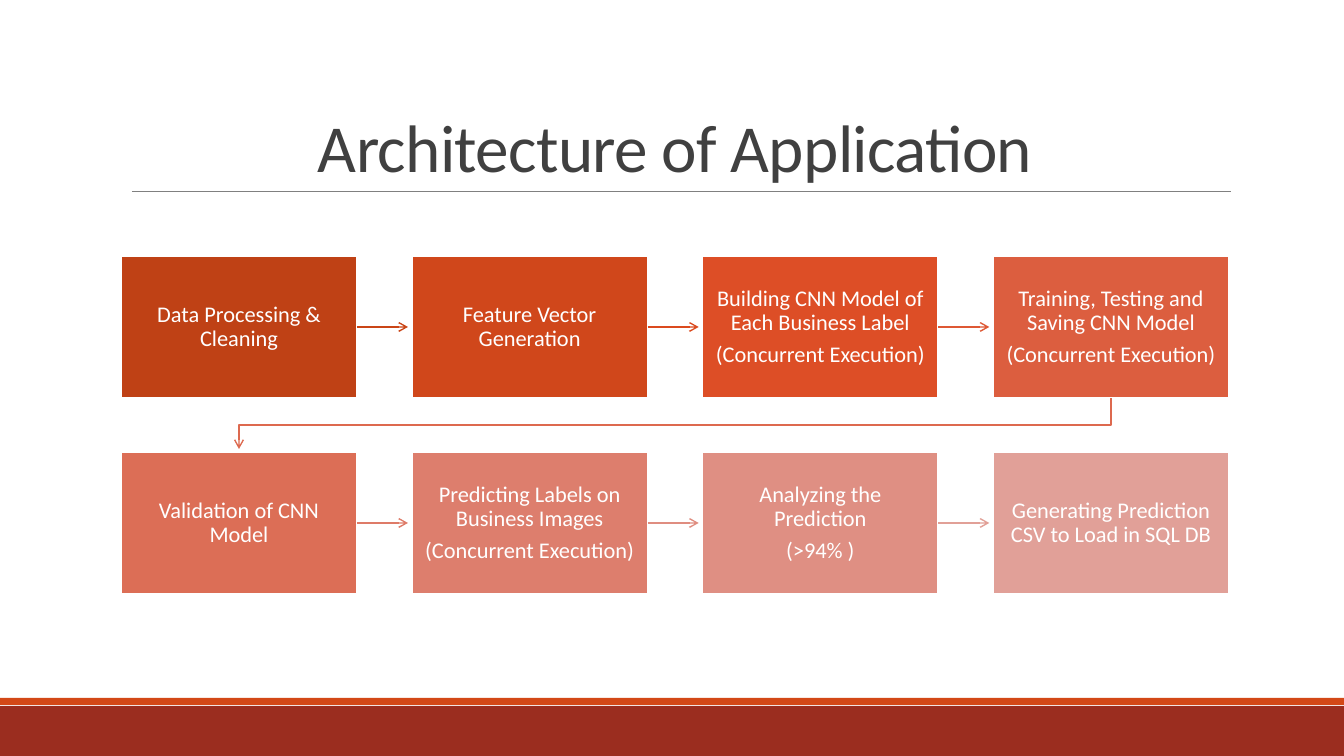
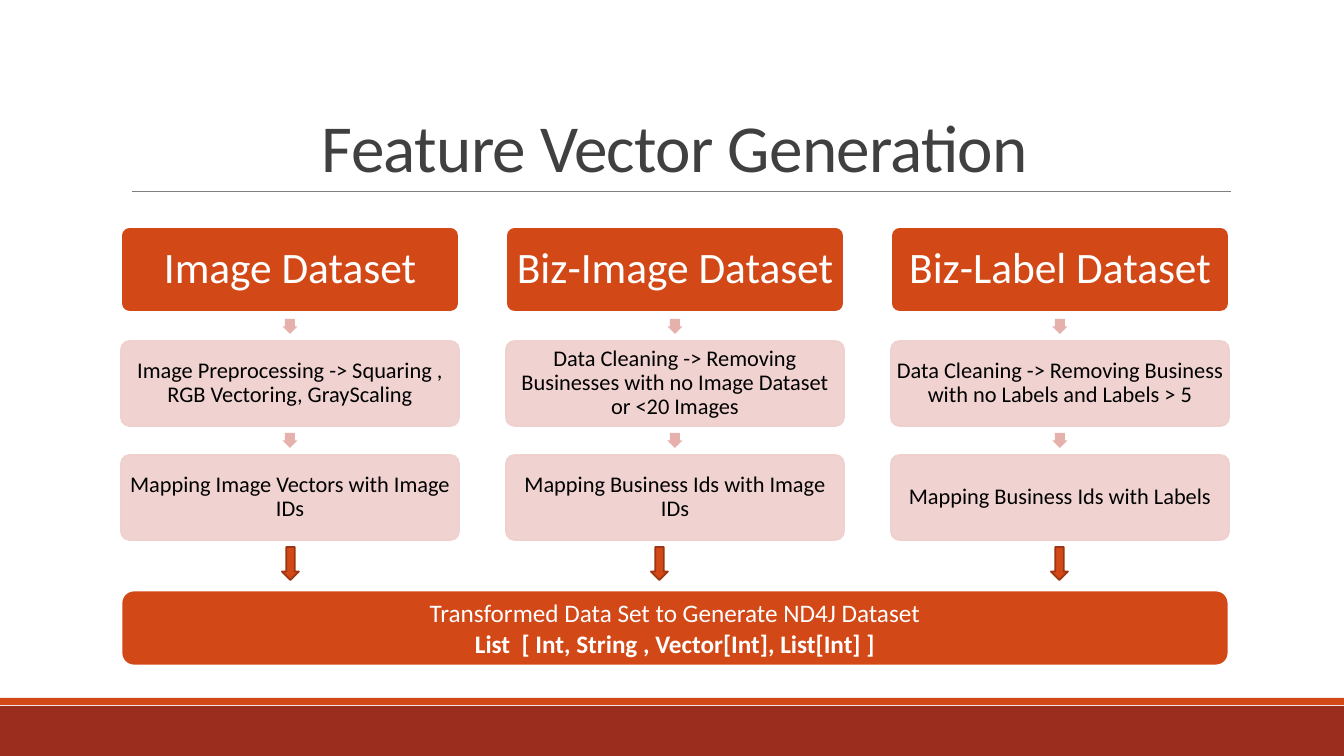
"""Build two slides on an image classification pipeline: its architecture and its feature vectors."""
from lxml import etree
from pptx import Presentation
from pptx import util as u
from pptx.dml.color import RGBColor
from pptx.enum import shapes, text
from pptx.oxml import ns, parse_xml

PX = 914400 / 100.8
FONT = "Calibri"
WHITE = RGBColor(0xFF, 0xFF, 0xFF)
BLACK = RGBColor(0x00, 0x00, 0x00)
ORANGE = RGBColor(0xD3, 0x48, 0x17)
BRICK = RGBColor(0x9B, 0x2D, 0x1F)
BROWN = RGBColor(0x9C, 0x35, 0x11)
GRAY = RGBColor(0x80, 0x80, 0x80)
PALE_PINK = RGBColor(0xEF, 0xCF, 0xCC)
PINK = RGBColor(0xE6, 0xB1, 0xAC)
STEP_FILLS = [RGBColor.from_string(code) for code in
              "BF4115 D0471B DD4E26 DC5E3F DC6E56 DD7E6D DF8F83 E1A098".split()]
ARROW_COLORS = [RGBColor.from_string(code) for code in
                "CA4516 DB4A1E DE5834 DD694F DE7B68 DF8D80 E1A097".split()]
LEFT, CONTENT_WIDTH = 121, 1108


def add_box(slide, kind, left, top, width, height, fill, line=None, line_width=1.25):
    box = slide.shapes.add_shape(kind, *(round(length * PX) for length in (left, top, width, height)))
    box.shadow.inherit = False
    box.fill.solid()
    box.fill.fore_color.rgb = fill
    if line is None:
        box.line.fill.background()
    else:
        box.line.color.rgb = line
        box.line.width = u.Pt(line_width)
    return box


def write(shape, lines, size, color, inset, line_spacing=0.9, space_after=0):
    frame = shape.text_frame
    frame.word_wrap = True
    frame.vertical_anchor = text.MSO_ANCHOR.MIDDLE
    frame.margin_left = frame.margin_right = round(inset * PX)
    frame.margin_top = frame.margin_bottom = round(inset * PX)
    for index, line in enumerate(lines):
        paragraph = frame.add_paragraph() if index else frame.paragraphs[0]
        paragraph.alignment = text.PP_ALIGN.CENTER
        paragraph.line_spacing = line_spacing
        paragraph.space_after = u.Pt(space_after)
        run = paragraph.add_run()
        run.text = line
        run.font.name = FONT
        run.font.size = u.Pt(size)
        run.font.color.rgb = color


presentation = Presentation()
presentation.slide_width = round(1344 * PX)
presentation.slide_height = round(756 * PX)
layout = presentation.slide_layouts[5]

layout_title = layout.placeholders[0]
layout_title.left, layout_title.top = round(LEFT * PX), round(31 * PX)
layout_title.width, layout_title.height = round(CONTENT_WIDTH * PX), round(160 * PX)
layout_title.text_frame.vertical_anchor = text.MSO_ANCHOR.BOTTOM
layout_title.text_frame.auto_size = text.MSO_AUTO_SIZE.NONE
title_style = layout_title.element.txBody.find(ns.qn("a:lstStyle"))
title_style.clear()
title_style.append(parse_xml(
    f'<a:lvl1pPr {ns.nsdecls("a")} algn="ctr"><a:lnSpc><a:spcPct val="85000"/></a:lnSpc>'
    '<a:defRPr sz="4800" spc="-50"><a:solidFill><a:srgbClr val="404040"/></a:solidFill>'
    f'<a:latin typeface="{FONT}"/></a:defRPr></a:lvl1pPr>'))

architecture, features = [presentation.slides.add_slide(layout) for _ in range(2)]
for slide, title in ((architecture, "Architecture of Application"),
                     (features, "Feature Vector Generation")):
    slide.shapes.title.text_frame.paragraphs[0].add_run().text = title

band = add_box(architecture, shapes.MSO_SHAPE.RECTANGLE, 0, 706, 1344, 50, BRICK)
stripe = add_box(architecture, shapes.MSO_SHAPE.RECTANGLE, 0, 698, 1344, 7, ORANGE)
title_rule = architecture.shapes.add_connector(
    shapes.MSO_CONNECTOR.STRAIGHT, *(round(length * PX) for length in (132, 191, 1231, 191)))
title_rule.line.color.rgb = GRAY
title_rule.line.width = u.Pt(0.5)
etree.SubElement(title_rule.element.spPr, ns.qn("a:effectLst"))
for position, shape in enumerate((band, stripe, title_rule), start=2):
    layout.shapes.element.insert(position, shape.element)

STEPS = [
    ["Data Processing & Cleaning"],
    ["Feature Vector Generation"],
    ["Building CNN Model of Each Business Label", "(Concurrent Execution)"],
    ["Training, Testing and Saving CNN Model", "(Concurrent Execution)"],
    ["Validation of CNN Model"],
    ["Predicting Labels on Business Images", "(Concurrent Execution)"],
    ["Analyzing the Prediction", "(>94% )"],
    ["Generating Prediction CSV to Load in SQL DB"],
]
STEP_COLUMNS, STEP_WIDTH, STEP_HEIGHT = 4, 236, 142
STEP_TOP, STEP_ROW_PITCH = 256, 196
step_pitch = (CONTENT_WIDTH - STEP_WIDTH) / (STEP_COLUMNS - 1)

for index, lines in enumerate(STEPS):
    row, column = divmod(index, STEP_COLUMNS)
    left, top = LEFT + column * step_pitch, STEP_TOP + row * STEP_ROW_PITCH
    right, bottom = left + STEP_WIDTH, top + STEP_HEIGHT
    step = add_box(architecture, shapes.MSO_SHAPE.RECTANGLE, left, top,
                   STEP_WIDTH, STEP_HEIGHT, STEP_FILLS[index], WHITE)
    write(step, lines, 16, WHITE, 12, space_after=5.6)
    if index == len(STEPS) - 1:
        break
    if column < STEP_COLUMNS - 1:
        middle = top + STEP_HEIGHT / 2
        arrow = architecture.shapes.add_connector(
            shapes.MSO_CONNECTOR.STRAIGHT,
            *(round(length * PX) for length in (right, middle, right + 51, middle)))
        etree.SubElement(arrow.element.spPr, ns.qn("a:effectLst"))
    else:
        start, end = right - STEP_WIDTH / 2, LEFT + STEP_WIDTH / 2
        outline = architecture.shapes.build_freeform(start, bottom, scale=PX)
        outline.add_line_segments(
            [(start, bottom + 27), (end, bottom + 27), (end, bottom + 51)], close=False)
        arrow = outline.convert_to_shape()
        arrow.shadow.inherit = False
        arrow.fill.background()
    arrow.line.color.rgb = ARROW_COLORS[index]
    arrow.line.width = u.Pt(1)
    etree.SubElement(arrow.element.spPr.find(ns.qn("a:ln")), ns.qn("a:tailEnd"), type="arrow")

DATASETS = [
    ["Image Dataset",
     "Image Preprocessing -> Squaring , RGB Vectoring, GrayScaling",
     "Mapping Image Vectors with Image IDs"],
    ["Biz-Image Dataset",
     "Data Cleaning -> Removing Businesses with no Image Dataset or <20 Images",
     "Mapping Business Ids with Image IDs"],
    ["Biz-Label Dataset",
     "Data Cleaning -> Removing Business with no Labels and Labels > 5",
     "Mapping Business Ids with Labels"],
]
CARD_WIDTH, CARD_HEIGHT, CARD_TOP, CARD_ROW_PITCH = 338, 85, 227, 114
SMALL_ARROW = 15
card_pitch = (CONTENT_WIDTH - CARD_WIDTH) / (len(DATASETS) - 1)

for column, cards in enumerate(DATASETS):
    left = LEFT + column * card_pitch
    for row, line in enumerate(cards):
        top = CARD_TOP + row * CARD_ROW_PITCH
        heading = row == 0
        card = add_box(features, shapes.MSO_SHAPE.ROUNDED_RECTANGLE, left, top, CARD_WIDTH, CARD_HEIGHT,
                       ORANGE if heading else PALE_PINK, WHITE if heading else PALE_PINK)
        card.adjustments[0] = 0.1
        if heading:
            write(card, [line], 31, WHITE, 4)
        else:
            write(card, [line], 16, BLACK, 2)
            for color in card.element.spPr.iter(ns.qn("a:srgbClr")):
                etree.SubElement(color, ns.qn("a:alpha"), val="90000")
        if row < len(cards) - 1:
            small_arrow = add_box(features, shapes.MSO_SHAPE.DOWN_ARROW,
                                  left + (CARD_WIDTH - SMALL_ARROW) / 2, top + CARD_HEIGHT + 7,
                                  SMALL_ARROW, SMALL_ARROW, PINK)
            small_arrow.adjustments[0] = 0.67

result = add_box(features, shapes.MSO_SHAPE.ROUNDED_RECTANGLE, LEFT, 590, CONTENT_WIDTH, 76,
                 ORANGE, WHITE, 2)
write(result, ["Transformed Data Set to Generate ND4J Dataset",
               "List  [ Int, String , Vector[Int], List[Int] ]"], 18, WHITE, 5, line_spacing=1.0)
result.text_frame.paragraphs[1].runs[0].font.bold = True

for left in (282, 651, 1051):
    add_box(features, shapes.MSO_SHAPE.DOWN_ARROW, left, 547, 17, 33, ORANGE, BROWN)

presentation.save("out.pptx")
